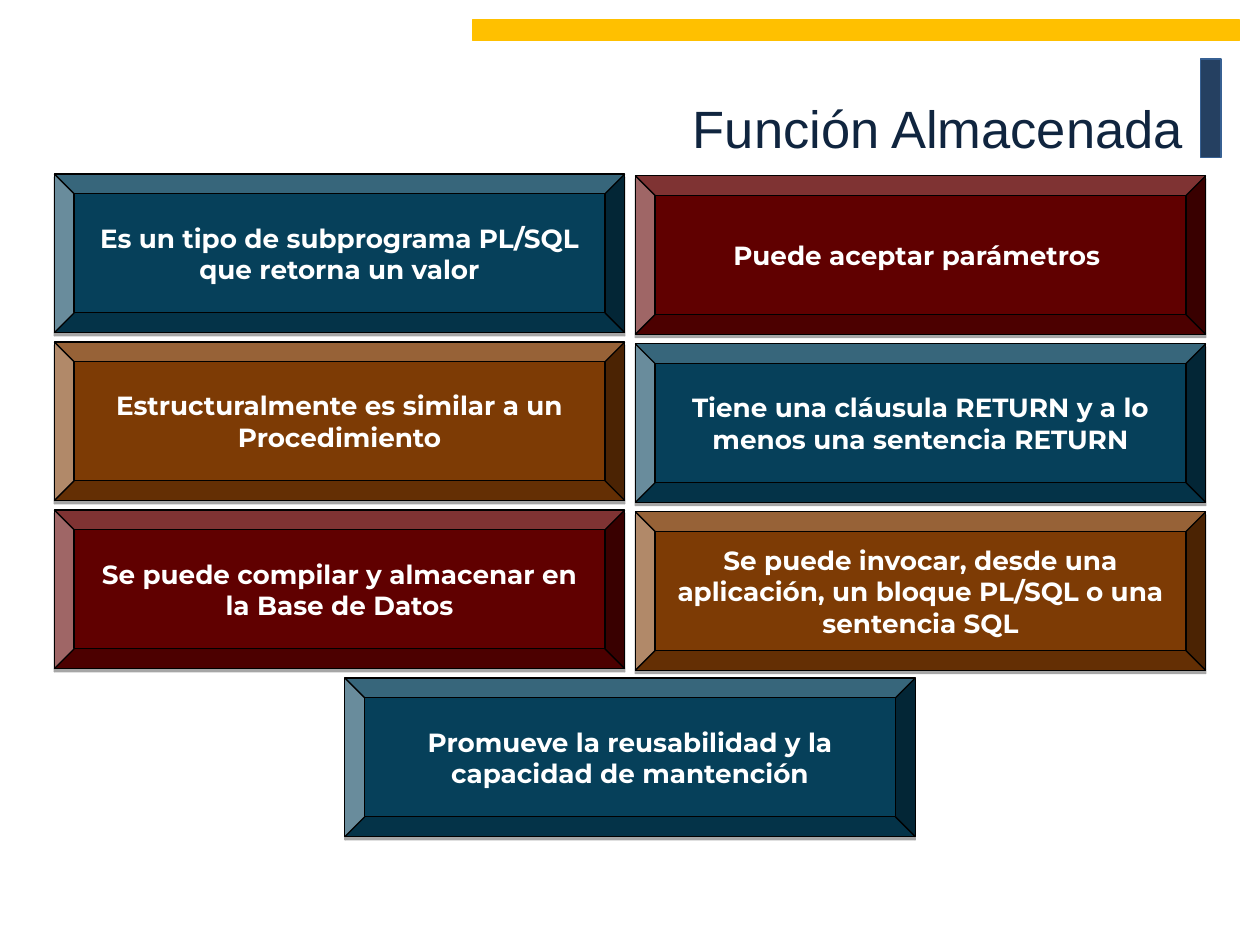
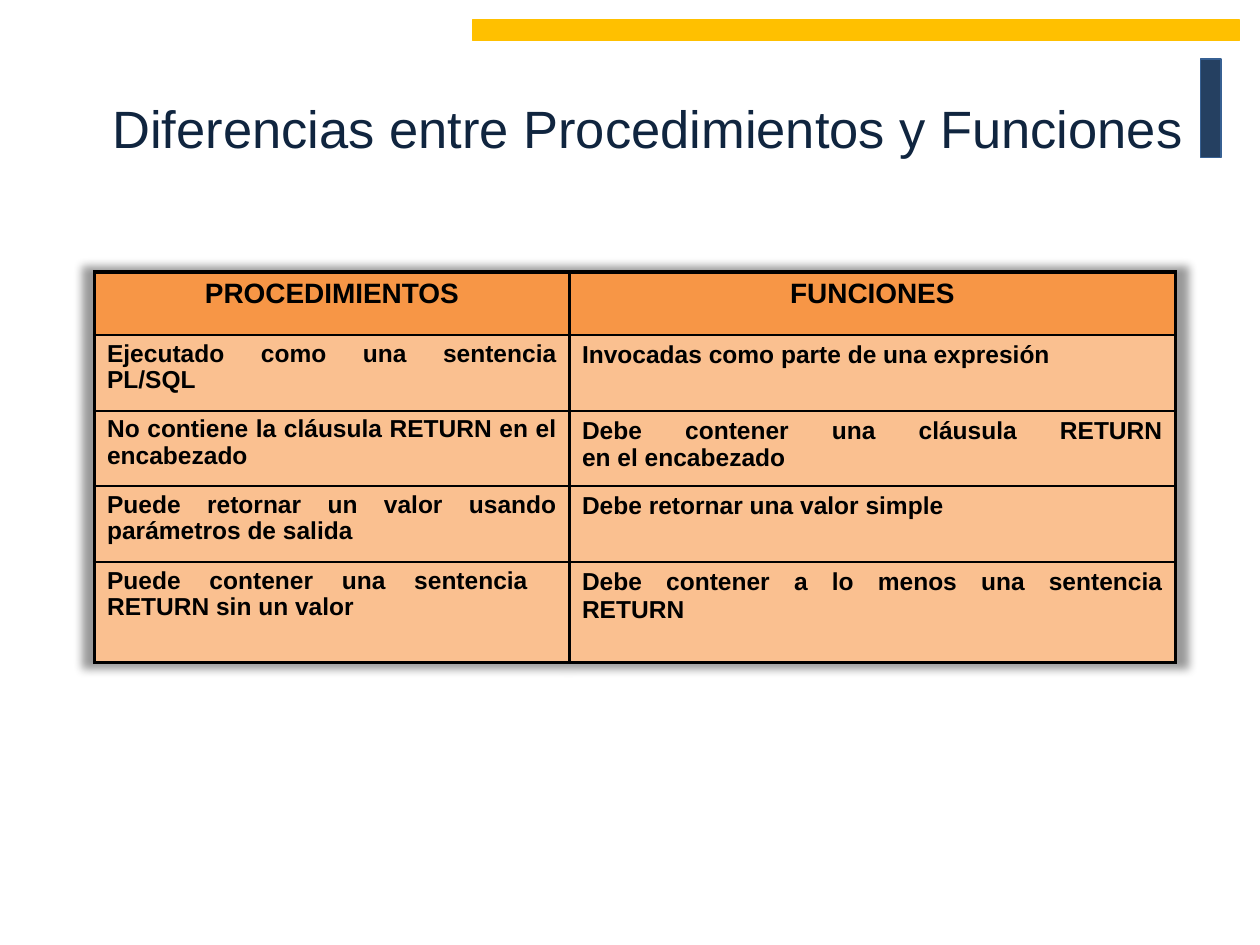
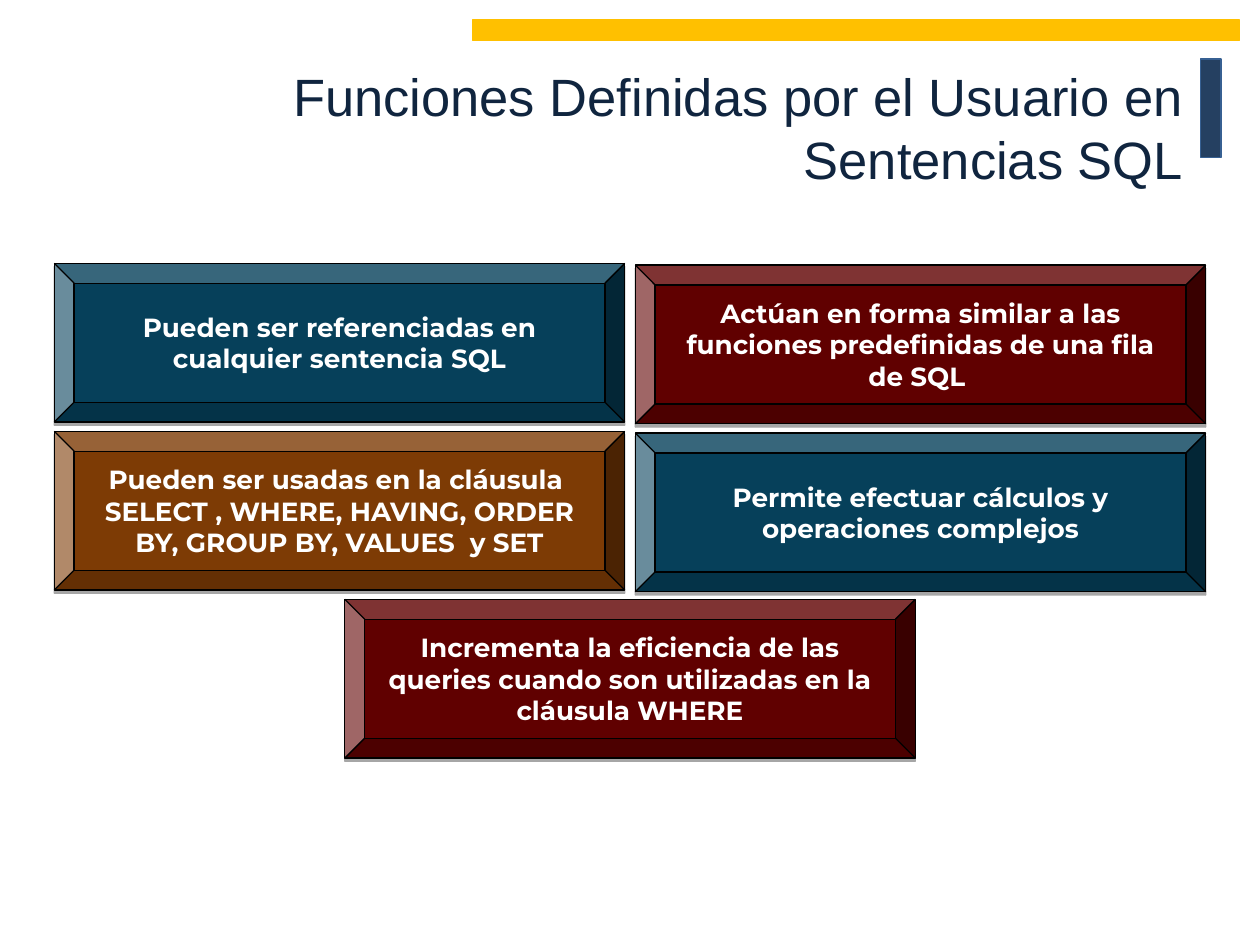
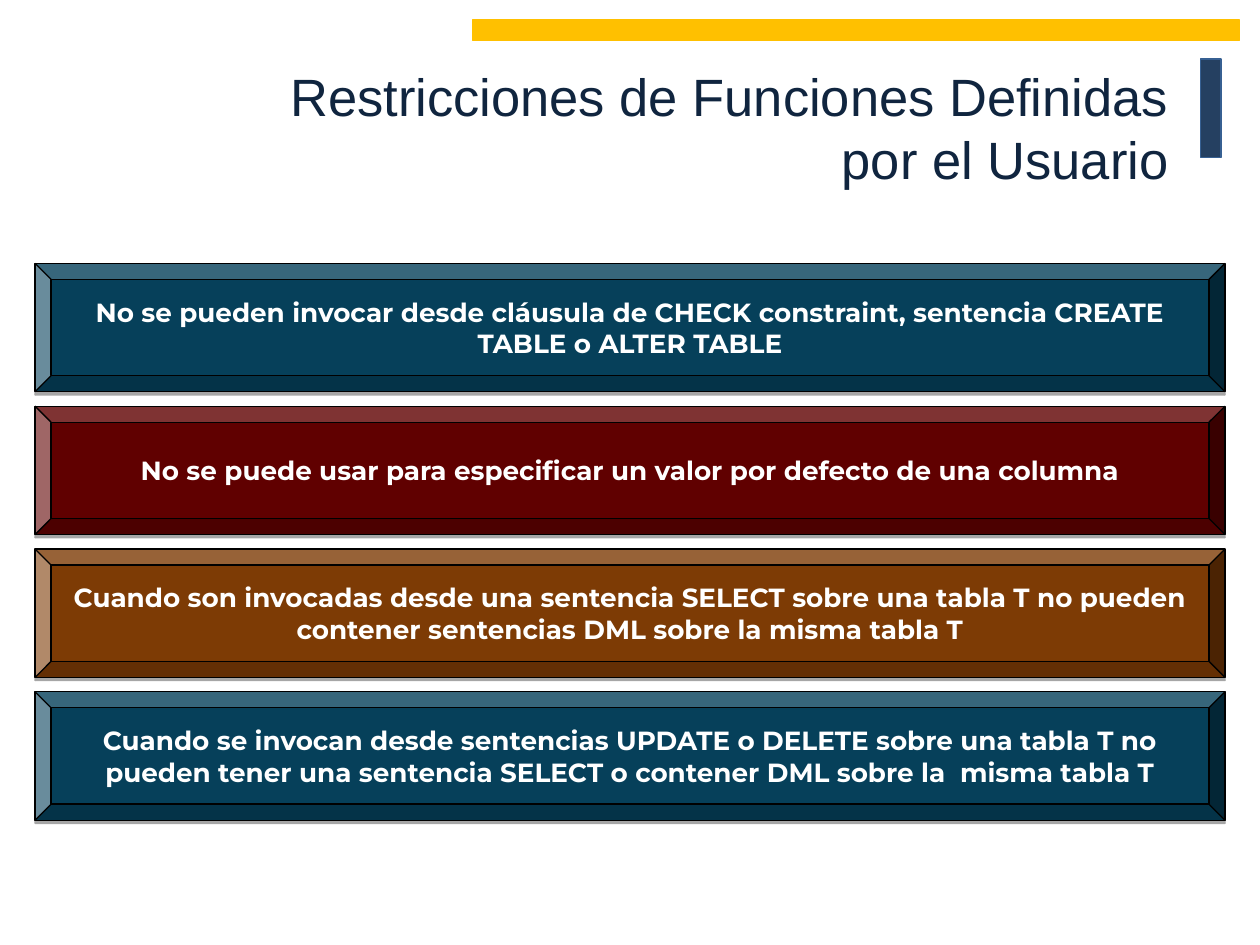
"""Builds four slides on stored functions in PL/SQL."""
from lxml import etree
from pptx import Presentation
from pptx.dml.color import RGBColor
from pptx.enum import shapes, text
from pptx.oxml.ns import qn
from pptx.util import Pt

SLIDES = [
    {"title": "Función Almacenada", "left": 69.8, "top": 99.4,
     "cols": 2, "size": (326, 90.7), "gap": (6, 5.3),
     "items": [
         "Es un tipo de subprograma PL/SQL que retorna un valor",
         "Puede aceptar parámetros ",
         "Estructuralmente es similar a un Procedimiento",
         "Tiene una cláusula RETURN y a lo menos una sentencia RETURN",
         "Se puede compilar y almacenar en la Base de Datos",
         "Se puede invocar, desde una aplicación, un bloque PL/SQL o una sentencia SQL",
         "Promueve la reusabilidad y la capacidad de mantención"]},
    {"title": "Diferencias entre Procedimientos y Funciones", "left": 25.4, "top": 155.5,
     "rows": [
         ("PROCEDIMIENTOS", "FUNCIONES"),
         ("Ejecutado como una sentencia PL/SQL",
          "Invocadas como parte de una expresión"),
         ("No contiene la cláusula RETURN en el encabezado",
          "Debe contener una cláusula RETURN\nen el encabezado"),
         ("Puede retornar un valor usando parámetros de salida",
          "Debe retornar una valor simple"),
         ("Puede contener una sentencia  RETURN sin un valor",
          "Debe contener a lo menos una sentencia RETURN")]},
    {"title": "Funciones Definidas por el Usuario en Sentencias SQL", "left": 69.8, "top": 150.5,
     "cols": 2, "size": (326, 90.7), "gap": (6, 5.3),
     "items": [
         "Pueden ser referenciadas en cualquier sentencia SQL",
         "Actúan en forma similar a las funciones predefinidas de una fila de SQL ",
         "Pueden ser usadas en la cláusula  SELECT , WHERE, HAVING, ORDER BY, GROUP BY, VALUES  y SET",
         "Permite efectuar cálculos y operaciones complejos",
         "Incrementa la eficiencia de las queries cuando son utilizadas en la cláusula WHERE"]},
    {"title": "Restricciones de Funciones Definidas \npor el Usuario ", "left": 69.8, "top": 150.5,
     "cols": 1, "size": (680, 73.4), "gap": (0, 8.2),
     "items": [
         "No se pueden invocar desde cláusula de CHECK constraint, sentencia CREATE TABLE o ALTER TABLE",
         "No se puede usar para especificar un valor por defecto de una columna",
         "Cuando son invocadas desde una sentencia SELECT sobre una tabla T no pueden contener sentencias DML sobre la misma tabla T",
         "Cuando se invocan desde sentencias UPDATE o DELETE sobre una tabla T no pueden tener una sentencia SELECT o contener DML sobre la  misma tabla T"]},
]

WIDE, HIGH, EDGE = 720, 540, 683.2
BANDS = [((686.2, 33.8, 11.5, 56.2), "254061", "376092"),
         ((270, 11.5, 438.5, 11.5), "FFC000", "FFC000")]
TINTS = ["06405A", "600000", "7D3B05"]
HEAD, BODY, INK = "F79646", "FAC090", "000000"
COLS, ROWS = [271.4, 346.3], [36, 43.2, 43.2, 43.2, 57.6]
THIN, THICK = 1.5, 2.25

AL = text.PP_ALIGN
TITLE = {"size": Pt(30), "name": "Arial", "color": "10253F"}
LABEL = {"size": Pt(15), "name": "Montserrat", "color": "FFFFFF", "bold": True}
TOP = {"size": Pt(16), "name": "Arial", "color": INK, "bold": True}
CELL = {**TOP, "size": Pt(14)}


def rgb(code):
    return RGBColor.from_string(code)


def write(frame, words, look, align):
    para = frame.paragraphs[0]
    para.text = words
    para.alignment = align
    for run in para.runs:
        for key, val in look.items():
            if key == "color":
                run.font.color.rgb = rgb(val)
            else:
                setattr(run.font, key, val)
    return para


def paint(node, code):
    fill = etree.SubElement(node, qn("a:solidFill"))
    return etree.SubElement(fill, qn("a:srgbClr"), val=code)


def shade(effects, alpha, **attrs):
    drop = etree.SubElement(effects, qn("a:outerShdw"), rotWithShape="0", **attrs)
    etree.SubElement(paint_tint(drop), qn("a:alpha"), val=str(alpha * 1000))


def paint_tint(node):
    return etree.SubElement(node, qn("a:srgbClr"), val=INK)


def block(slide, kind, box, fill, line):
    shape = slide.shapes.add_shape(kind, *map(Pt, box))
    shape.shadow.inherit = False
    shape.fill.solid()
    shape.fill.fore_color.rgb = rgb(fill)
    shape.line.color.rgb = rgb(line)
    shape.line.width = Pt(0.75)
    return shape


def frame(slide, data):
    for box, fill, line in BANDS:
        block(slide, shapes.MSO_SHAPE.RECTANGLE, box, fill, line)
    left = data["left"]
    area = slide.shapes.add_textbox(*map(Pt, (left, 15.1, EDGE - left, 115.2))).text_frame
    area.word_wrap = True
    area.vertical_anchor = text.MSO_ANCHOR.MIDDLE
    write(area, data["title"], TITLE, AL.RIGHT)


def grid(slide, data):
    items, cols = data["items"], data["cols"]
    (wide, high), (gap, space) = data["size"], data["gap"]
    for num, words in enumerate(items):
        row, col = divmod(num, cols)
        count = min(cols, len(items) - row * cols)
        start = (WIDE - count * wide - (count - 1) * gap) / 2
        box = start + col * (wide + gap), data["top"] + row * (high + space) + col, wide, high
        shape = block(slide, shapes.MSO_SHAPE.BEVEL, box, TINTS[num % len(TINTS)], INK)
        shape.adjustments[0] = 0.125
        shade(shape.element.spPr.find(qn("a:effectLst")), 35,
              blurRad="0", dist=str(Pt(1.8)), dir="5400000")
        shape.text_frame.word_wrap = True
        shape.text_frame.vertical_anchor = text.MSO_ANCHOR.MIDDLE
        write(shape.text_frame, words, LABEL, AL.CENTER)


def border(cell, sides):
    props = cell._tc.get_or_add_tcPr()
    for num, (side, width) in enumerate(sides.items()):
        line = etree.Element(qn("a:ln" + side), w=str(Pt(width)))
        paint(line, INK)
        props.insert(num, line)


def table(slide, data):
    rows = data["rows"]
    box = 54, data["top"], sum(COLS), sum(ROWS)
    grid = slide.shapes.add_table(len(rows), len(COLS), *map(Pt, box)).table
    grid.first_row = grid.horz_banding = False
    effects = etree.Element(qn("a:effectLst"))
    grid._tbl.tblPr.insert(0, effects)
    shade(effects, 40, blurRad=str(Pt(5)), sx="102000", sy="102000", algn="ctr")
    for col, wide in enumerate(COLS):
        grid.columns[col].width = Pt(wide)
    for row, pair in enumerate(rows):
        grid.rows[row].height = Pt(ROWS[row])
        for col, words in enumerate(pair):
            cell = grid.cell(row, col)
            cell.fill.solid()
            cell.fill.fore_color.rgb = rgb(BODY if row else HEAD)
            para = write(cell.text_frame, words, CELL if row else TOP,
                         AL.JUSTIFY if row else AL.CENTER)
            if row and not col:
                para.line_spacing = 0.95
            outer = {"L": col == 0, "R": col == len(COLS) - 1,
                     "T": row == 0, "B": row == len(rows) - 1}
            border(cell, {side: THICK if edge else THIN for side, edge in outer.items()})


def main():
    deck = Presentation()
    deck.slide_width, deck.slide_height = Pt(WIDE), Pt(HIGH)
    for data in SLIDES:
        slide = deck.slides.add_slide(deck.slide_layouts[6])
        frame(slide, data)
        draw = table if "rows" in data else grid
        draw(slide, data)
    deck.save("out.pptx")


if __name__ == "__main__":
    main()
